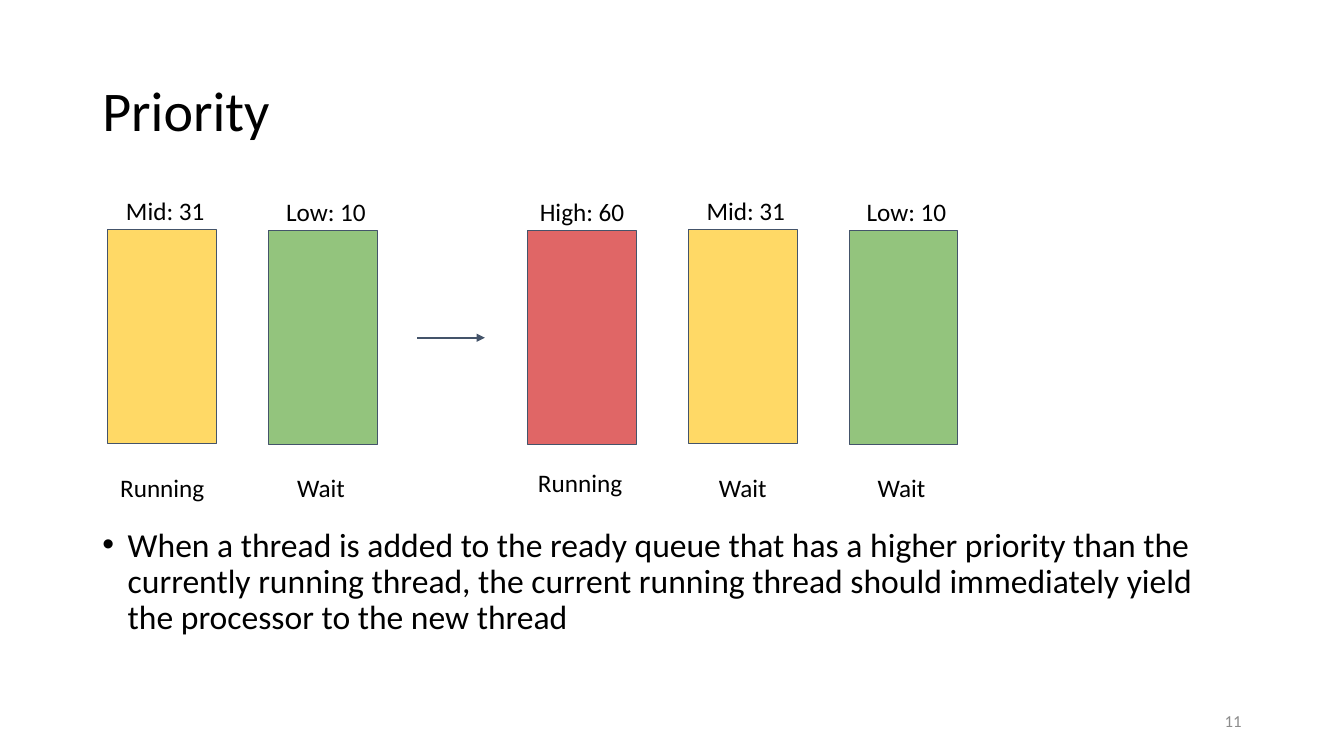
import pptx
import pptx.util
import pptx.dml.color
import pptx.enum.shapes
import pptx.enum.text
from lxml import etree

Cm, Pt = pptx.util.Cm, pptx.util.Pt
ALIGN = pptx.enum.text.PP_ALIGN
MID = pptx.enum.text.MSO_ANCHOR.MIDDLE

# Content
TITLE = "Priority"
NOTE = ("When a thread is added to the ready queue that has a higher priority "
        "than the currently running thread, the current running thread should "
        "immediately yield the processor to the new thread")
PAGE = "11"
# Each queue: left edge, then its threads as (level, state)
QUEUES = [
    (2.72, [("mid", "Running"), ("low", "Wait")]),
    (13.3, [("high", "Running"), ("mid", "Wait"), ("low", "Wait")]),
]
# Each level: label, bar top, label inset, state shift across, state top
LEVELS = {
    "high": ("High: 60", 5.82, 0, -0.05, 11.53),
    "mid": ("Mid: 31", 5.79, 0.15, 0, 11.66),
    "low": ("Low: 10", 5.82, 0.15, -0.05, 11.66),
}

THEME = {
    "font": "Calibri", "ink": "000000", "faint": "8C8C8C", "line": "44546A",
    "high": "E06666", "mid": "FFD966", "low": "93C47D",
    "title": 40, "body": 24, "label": 18, "page": 12,
}
STEP, WIDE, TALL = 4.05, 2.74, 5.38
RISE, ROW = 1.12, 1.04

deck = pptx.Presentation()
deck.slide_width, deck.slide_height = Cm(33.87), Cm(19.05)
slide = deck.slides.add_slide(deck.slide_layouts[6])


def tint(name):
    return pptx.dml.color.RGBColor.from_string(THEME[name])


def write(text, size, x, y, w, h, align=ALIGN.LEFT, ink="ink", pad=None):
    box = slide.shapes.add_textbox(Cm(x), Cm(y), Cm(w), Cm(h))
    frame = box.text_frame
    frame.word_wrap = True
    if pad is not None:
        frame.margin_left = frame.margin_right = Cm(pad)
        frame.margin_top = frame.margin_bottom = Cm(pad)
    para = frame.paragraphs[0]
    para.text, para.alignment = text, align
    para.font.name = THEME["font"]
    para.font.size = Pt(THEME[size])
    para.font.color.rgb = tint(ink)
    return frame, para


def thread(x, level, state):
    label, top, inset, shift, base = LEVELS[level]
    bar = slide.shapes.add_shape(pptx.enum.shapes.MSO_SHAPE.RECTANGLE,
                                 Cm(x), Cm(top), Cm(WIDE), Cm(TALL))
    bar.shadow.inherit = False
    bar.fill.solid()
    bar.fill.fore_color.rgb = tint(level)
    bar.line.color.rgb = tint("line")
    bar.line.width = Pt(0.75)
    write(label, "label", x + inset, top - RISE, WIDE - inset, ROW,
          ALIGN.CENTER, pad=0.25)
    write(state, "label", x + shift, base, WIDE, ROW, ALIGN.CENTER, pad=0.25)


# Title
frame, para = write(TITLE, "title", 2.33, 1.01, 29.21, 3.68)
frame.vertical_anchor = MID
para.line_spacing = 0.9

# Queues before and after
for left, threads in QUEUES:
    for i, (level, state) in enumerate(threads):
        thread(left + i * STEP, level, state)

# Arrow between the queues
arrow = slide.shapes.add_connector(pptx.enum.shapes.MSO_CONNECTOR.STRAIGHT,
                                   Cm(10.52), Cm(8.51), Cm(12.22), Cm(8.51))
arrow.line.color.rgb = tint("line")
arrow.line.width = Pt(1.5)
NS = "{http://schemas.openxmlformats.org/drawingml/2006/main}"
etree.SubElement(arrow.line._get_or_add_ln(), NS + "tailEnd", type="triangle")
etree.SubElement(arrow._element.spPr, NS + "effectLst")

# Bulleted note
frame, para = write(NOTE, "body", 2.33, 13.18, 28.17, 4.1)
para.line_spacing = 0.9
props = para._p.get_or_add_pPr()
props.set("marL", str(Cm(0.64)))
props.set("indent", str(-Cm(0.64)))
etree.SubElement(props, NS + "buFont", typeface="Arial")
etree.SubElement(props, NS + "buChar", char="•")
# Bullet tags must precede the default run style
style = props.find(NS + "defRPr")
if style is not None:
    props.append(style)

# Page number
frame, para = write(PAGE, "page", 23.92, 17.65, 7.62, 1.01, ALIGN.RIGHT, "faint")
frame.vertical_anchor = MID

deck.save("out.pptx")
